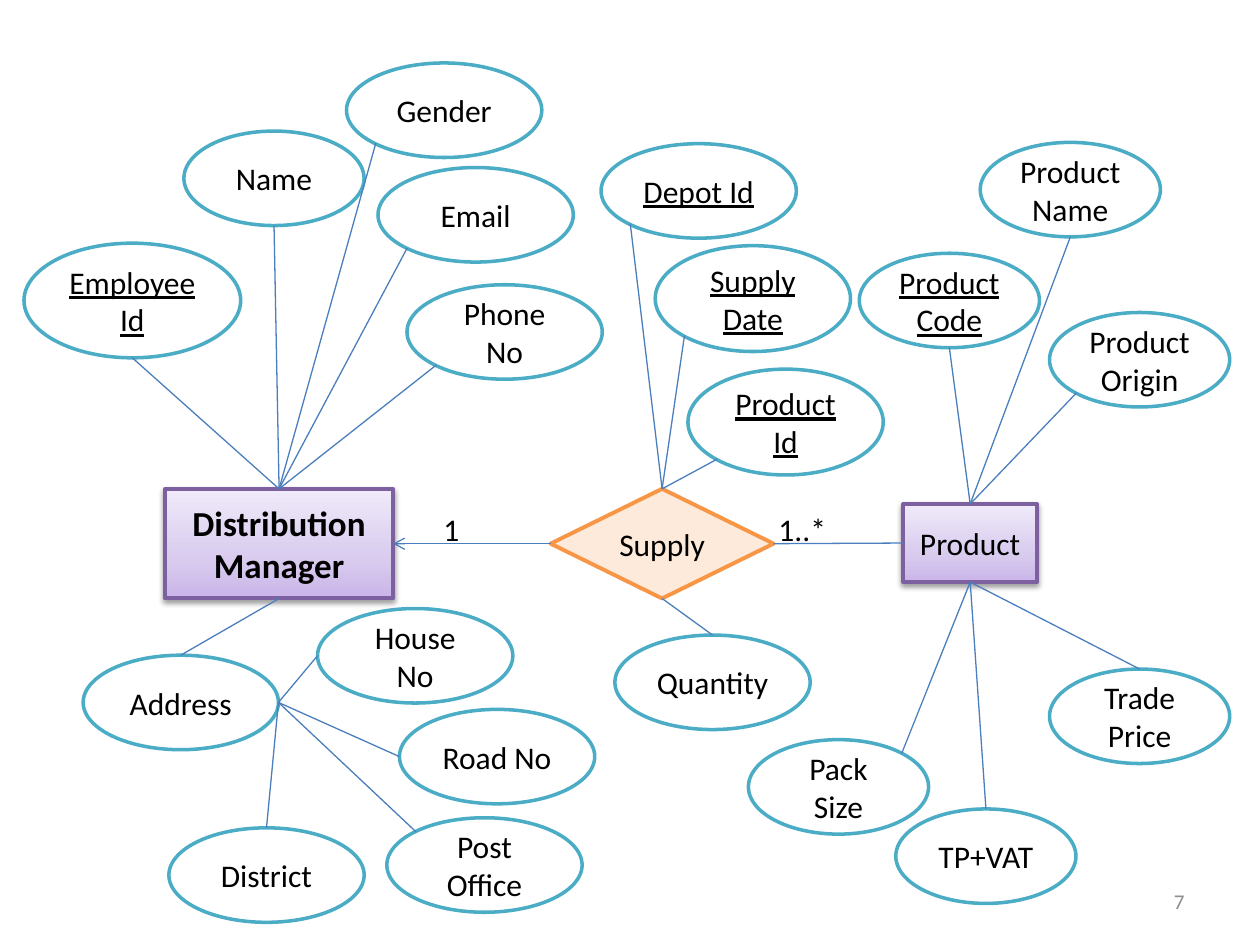
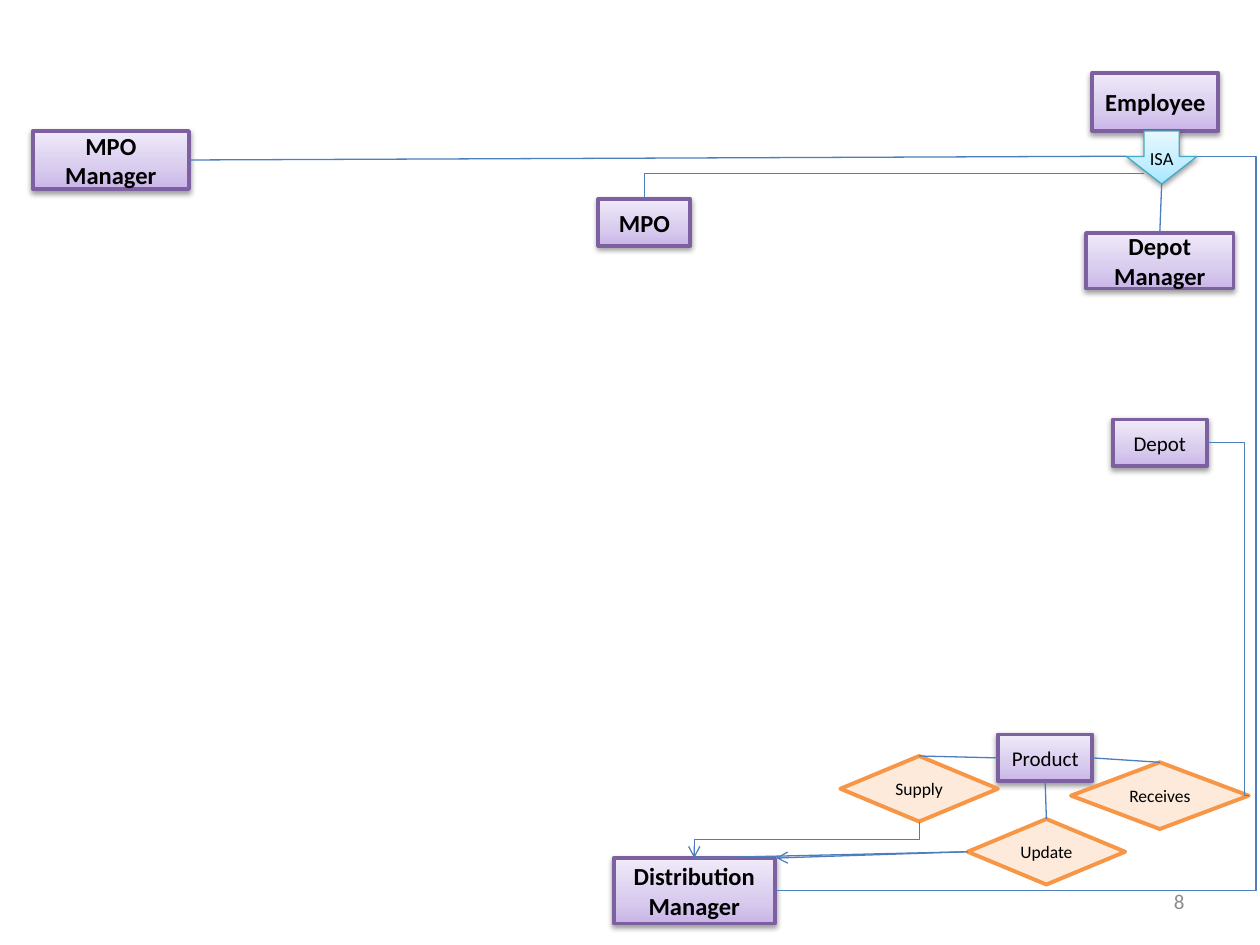
from lxml.etree import SubElement
from pptx import Presentation
from pptx.dml.color import RGBColor
from pptx.enum.shapes import MSO_CONNECTOR, MSO_SHAPE
from pptx.enum.text import MSO_ANCHOR, MSO_AUTO_SIZE, PP_ALIGN
from pptx.oxml.ns import qn
from pptx.util import Cm, Pt

FONT = "Calibri"
BLACK = RGBColor(0x00, 0x00, 0x00)
WHITE = RGBColor(0xFF, 0xFF, 0xFF)
GREY = RGBColor(0x8C, 0x8C, 0x8C)
LINK_BLUE = RGBColor(0x4B, 0x7E, 0xBC)
PURPLE = RGBColor(0x7D, 0x60, 0xA0)
ORANGE = RGBColor(0xF7, 0x96, 0x46)
PEACH = RGBColor(0xFD, 0xEA, 0xDA)
TEAL = RGBColor(0x4B, 0xAC, 0xC6)
ARROW_TEAL = RGBColor(0x46, 0xAA, 0xC5)
# Gradient stops at 0, 35 and 100 percent, from the bottom upwards
LILAC_STOPS = [RGBColor(0xC9, 0xB5, 0xE8), RGBColor(0xD8, 0xCB, 0xEE),
               RGBColor(0xF0, 0xEA, 0xF9)]
SKY_STOPS = [RGBColor(0xA7, 0xE6, 0xFF), RGBColor(0xC1, 0xED, 0xFF),
             RGBColor(0xE7, 0xF8, 0xFF)]
STOP_PLACES = [0, 35, 100]

# Connection sites as fractions of width and height; diagonals lie on an ellipse
NEAR, FAR = 0.15, 0.85
SITES = {
    "top": (0.5, 0), "bottom": (0.5, 1), "left": (0, 0.5), "right": (1, 0.5),
    "top left": (NEAR, NEAR), "top right": (FAR, NEAR), "bottom left": (NEAR, FAR),
}


def length(inches):
    return Cm(inches * 2.54)


def site(shape, name):
    """Point of a connection site, in inches."""
    across, down = SITES[name]
    return ((shape.left + across * shape.width) / length(1),
            (shape.top + down * shape.height) / length(1))


class Diagram:
    """Entity-relationship style and the slide being drawn."""

    def __init__(self):
        self.deck = Presentation()
        self.deck.slide_width, self.deck.slide_height = length(10), length(7.5)
        self.slide = None

    def new_slide(self, number):
        self.slide = self.deck.slides.add_slide(self.deck.slide_layouts[6])
        self.label(str(number), (7.17, 6.95, 2.33, 0.4), 12, GREY,
                   PP_ALIGN.RIGHT, MSO_ANCHOR.MIDDLE)

    def put_text(self, shape, text, size, color=BLACK, align=PP_ALIGN.CENTER,
                 anchor=MSO_ANCHOR.MIDDLE, bold=False, underline=False):
        frame = shape.text_frame
        frame.text = text
        frame.word_wrap = True
        frame.vertical_anchor = anchor
        paragraph = frame.paragraphs[0]
        paragraph.alignment = align
        font = paragraph.runs[0].font
        font.name, font.size, font.color.rgb = FONT, Pt(size), color
        font.bold, font.underline = bold, underline

    def label(self, text, box, size, color=BLACK, align=PP_ALIGN.LEFT,
              anchor=MSO_ANCHOR.TOP):
        textbox = self.slide.shapes.add_textbox(*map(length, box))
        self.put_text(textbox, text, size, color, align, anchor)
        return textbox

    def outline(self, kind, box, color, width):
        shape = self.slide.shapes.add_shape(kind, *map(length, box))
        shape.shadow.inherit = False
        shape.line.color.rgb = color
        shape.line.width = Pt(width)
        return shape

    def flat(self, shape, color):
        shape.fill.solid()
        shape.fill.fore_color.rgb = color

    def raised(self, shape, colors):
        """Three-stop gradient with a soft shadow below."""
        shape.fill.gradient()
        shape.fill.gradient_angle = 90
        properties = shape.element.spPr
        stops = properties.find(".//" + qn("a:gsLst"))
        for stop in list(stops):
            stops.remove(stop)
        for place, color in zip(STOP_PLACES, colors):
            stop = SubElement(stops, qn("a:gs"), pos=str(place * 1000))
            SubElement(stop, qn("a:srgbClr"), val=str(color))
        shadow = SubElement(properties.find(qn("a:effectLst")), qn("a:outerShdw"),
                            blurRad="40000", dist="20000", dir="5400000",
                            rotWithShape="0")
        black = SubElement(shadow, qn("a:srgbClr"), val=str(BLACK))
        SubElement(black, qn("a:alpha"), val="38000")

    def entity(self, text, box, size, bold=False):
        shape = self.outline(MSO_SHAPE.RECTANGLE, box, PURPLE, 2.25)
        self.raised(shape, LILAC_STOPS)
        self.put_text(shape, text, size, bold=bold)
        return shape

    def relationship(self, text, box, size):
        shape = self.outline(MSO_SHAPE.FLOWCHART_DECISION, box, ORANGE, 2.25)
        self.flat(shape, PEACH)
        self.put_text(shape, text, size)
        return shape

    def attribute(self, text, box, key=False):
        shape = self.outline(MSO_SHAPE.OVAL, box, TEAL, 2)
        self.flat(shape, WHITE)
        self.put_text(shape, text, 18, underline=key)
        return shape

    def inheritance(self, text, box):
        shape = self.outline(MSO_SHAPE.DOWN_ARROW, box, ARROW_TEAL, 0.75)
        shape.adjustments[0], shape.adjustments[1] = 0.5, 0.52
        self.raised(shape, SKY_STOPS)
        self.put_text(shape, text, 10.5)
        frame = shape.text_frame
        frame.word_wrap = False
        frame.margin_top, frame.margin_bottom = length(0.12), 0
        return shape

    def link(self, start, end, arrow=False, kind=MSO_CONNECTOR.STRAIGHT):
        connector = self.slide.shapes.add_connector(
            kind, *map(length, (*start, *end)))
        connector.line.color.rgb = LINK_BLUE
        connector.line.width = Pt(0.75)
        properties = connector.element.spPr
        SubElement(properties, qn("a:effectLst"))
        if arrow:
            SubElement(properties.find(qn("a:ln")), qn("a:tailEnd"), type="arrow")
        return connector

    def elbow(self, start, end, bend=0.5, arrow=False, upright=False):
        """Bent link; bend None gives one corner, upright starts vertically."""
        if upright:
            # The unrotated box has the same centre with its sides swapped
            middle = [(a + b) / 2 for a, b in zip(start, end)]
            across, down = abs(end[1] - start[1]) / 2, abs(end[0] - start[0]) / 2
            start = (middle[0] - across, middle[1] - down)
            end = (middle[0] + across, middle[1] + down)
        connector = self.link(start, end, arrow, MSO_CONNECTOR.ELBOW)
        properties = connector.element.spPr
        if upright:
            properties.find(qn("a:xfrm")).set("rot", "5400000")
        geometry = properties.find(qn("a:prstGeom"))
        if bend is None:
            geometry.set("prst", "bentConnector2")
        else:
            guides = geometry.find(qn("a:avLst"))
            if guides is None:
                guides = SubElement(geometry, qn("a:avLst"))
            SubElement(guides, qn("a:gd"), name="adj1",
                       fmla=f"val {round(bend * 100000)}")


diagram = Diagram()

# Slide 7: supply of products by the distribution manager
diagram.new_slide(7)
manager = diagram.entity("Distribution Manager", (1.31, 3.88, 1.81, 0.87), 20, True)
supply = diagram.relationship("Supply", (4.37, 3.88, 1.77, 0.87), 18)
product = diagram.entity("Product", (7.17, 4, 1.06, 0.62), 18)

# Attributes: text, left, top, own site, owner's site, key
WIDE, NARROW, LOW, TALL = 1.55, 1.43, 0.75, 0.84
attributes = [
    (product, NARROW, LOW, [
        ("Product Code", 6.82, 2.01, "bottom", "top", True),
        ("Product Name", 7.78, 1.13, "bottom", "top", False),
        ("Product Origin", 8.33, 2.48, "bottom left", "top", False),
        ("Pack Size", 5.94, 5.87, "top right", "bottom", False),
        ("Trade Price", 8.33, 5.31, "top", "bottom", False),
        ("TP+VAT", 7.11, 6.42, "top", "bottom", False)]),
    (manager, 1.72, 0.91, [
        ("Employee Id", 0.19, 1.93, "bottom", "top", True)]),
    (manager, NARROW, LOW, [
        ("Name", 1.46, 1.04, "bottom", "top", False)]),
    (manager, WIDE, LOW, [
        ("Phone No", 3.23, 2.26, "bottom left", "top", False),
        ("Email", 3, 1.33, "bottom left", "top", False),
        ("Gender", 2.75, 0.5, "bottom left", "top", False)]),
    (supply, WIDE, LOW, [
        ("Quantity", 4.88, 5.04, "top", "bottom", False),
        ("Depot Id", 4.77, 1.14, "bottom left", "top", True)]),
    (supply, WIDE, TALL, [
        ("Supply Date", 5.2, 1.95, "bottom left", "top", True),
        ("Product Id", 5.46, 2.93, "bottom left", "top", True)]),
]
# The address is an attribute with parts of its own
address = diagram.attribute("Address", (0.66, 5.2, WIDE, LOW))
diagram.link(site(address, "top"), site(manager, "bottom"))
attributes.append((address, WIDE, LOW, [
    ("House No", 2.52, 4.83, "left", "right", False),
    ("Road No", 3.17, 5.63, "left", "right", False),
    ("District", 1.34, 6.57, "top", "right", False),
    ("Post Office", 3.07, 6.49, "top left", "right", False)]))

for owner, width, height, items in attributes:
    for text, left, top, own_site, owner_site, key in items:
        oval = diagram.attribute(text, (left, top, width, height), key)
        diagram.link(site(oval, own_site), site(owner, owner_site))

# Cardinalities
diagram.link(site(product, "left"), site(supply, "right"))
diagram.link(site(supply, "left"), site(manager, "right"), arrow=True)
for cardinality, left in (("1", 3.42), ("1..*", 6.08)):
    note = diagram.label(cardinality, (left, 4, 0.67, 0.4), 18)
    note.text_frame.auto_size = MSO_AUTO_SIZE.SHAPE_TO_FIT_TEXT

# Slide 8: employee hierarchy and the depot
diagram.new_slide(8)
employee = diagram.entity("Employee", (8.67, 0.58, 1, 0.46), 14, True)
isa = diagram.inheritance("ISA", (8.94, 1.04, 0.56, 0.42))
mpo = diagram.entity("MPO", (4.75, 1.58, 0.73, 0.37), 14, True)
mpo_manager = diagram.entity("MPO Manager", (0.26, 1.04, 1.24, 0.46), 14, True)
depot_manager = diagram.entity("Depot Manager", (8.62, 1.85, 1.17, 0.44), 14, True)
update = diagram.relationship("Update", (7.68, 6.5, 1.25, 0.52), 10)
product = diagram.entity("Product", (7.92, 5.83, 0.75, 0.37), 12)
supply = diagram.relationship("Supply", (6.67, 6, 1.25, 0.52), 10)
manager = diagram.entity("Distribution Manager", (4.87, 6.81, 1.28, 0.52), 14, True)
depot = diagram.entity("Depot", (8.83, 3.33, 0.75, 0.37), 12)
receives = diagram.relationship("Receives", (8.5, 6.05, 1.41, 0.53), 10)

# Hierarchy links
diagram.elbow((9.08, 1.38), site(mpo, "top"), bend=None)
diagram.link((8.94, 1.24), site(mpo_manager, "right"))
diagram.link(site(isa, "bottom"), site(depot_manager, "top"))
diagram.elbow((9.5, 1.24), site(manager, "right"), bend=-0.14)

# Product and depot links
diagram.link(site(manager, "top"), site(update, "left"))
diagram.link(site(product, "bottom"), site(update, "top"))
diagram.link(site(supply, "top"), site(product, "left"))
diagram.link(site(receives, "top"), site(product, "right"))
diagram.elbow(site(depot, "right"), site(receives, "right"), bend=0.9)
diagram.link(site(update, "left"), (6.16, 6.81), arrow=True)
diagram.elbow(site(supply, "bottom"), site(manager, "top"), arrow=True, upright=True)

diagram.deck.save("out.pptx")
